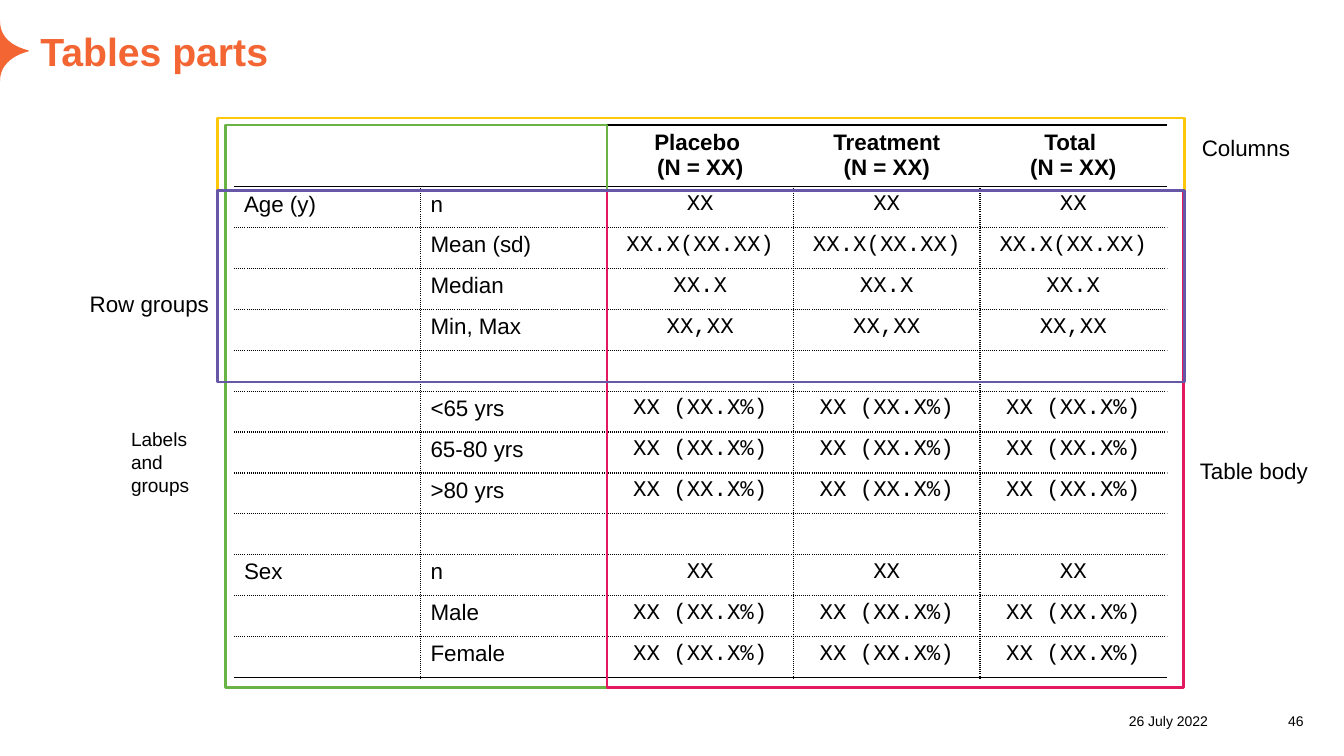
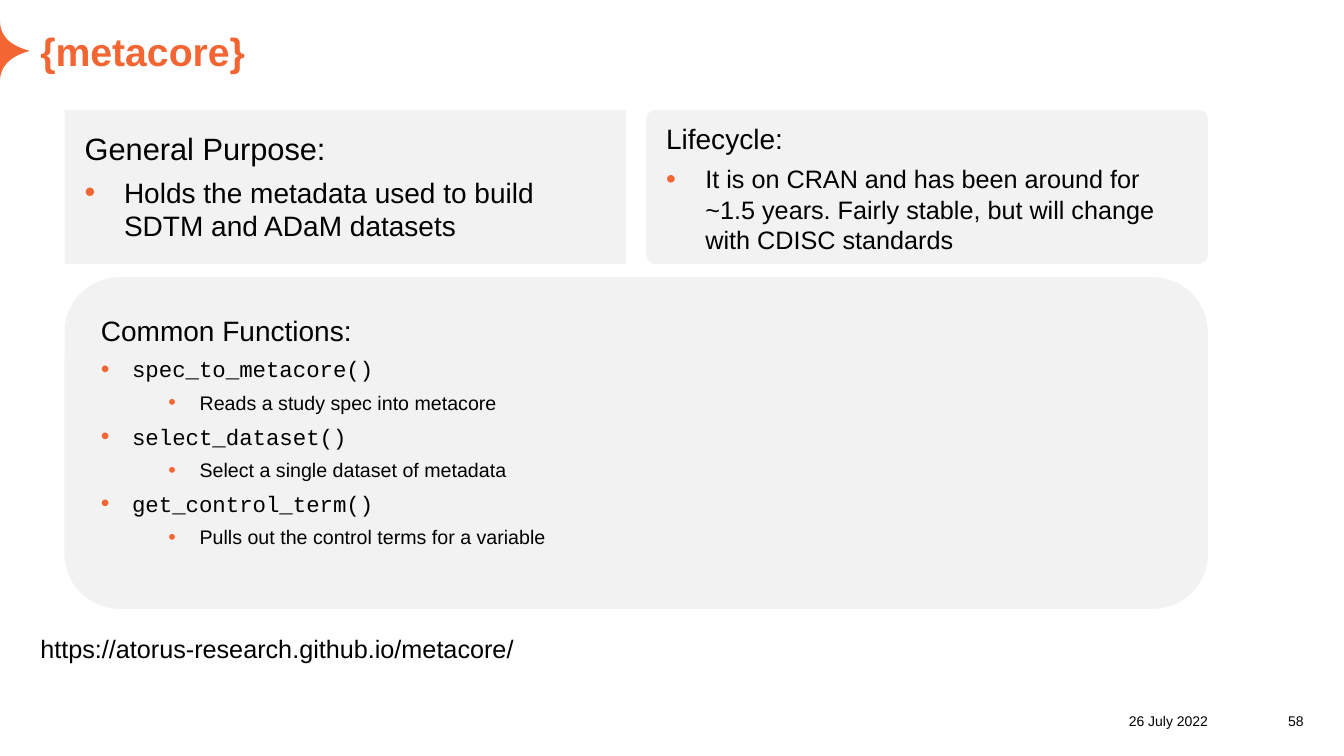
from lxml.etree import SubElement
from pptx import Presentation
from pptx.dml.color import RGBColor
from pptx.enum.shapes import MSO_SHAPE as Preset
from pptx.enum.text import MSO_ANCHOR as Anchor, PP_ALIGN as Align
from pptx.oxml.ns import qn
from pptx.util import Inches, Pt

ORANGE = RGBColor(0xF3, 0x66, 0x33)
BLACK = RGBColor(0x00, 0x00, 0x00)
PALE_GREY = RGBColor(0xF2, 0xF2, 0xF2)
GREEN = RGBColor(0x69, 0xB4, 0x45)
YELLOW = RGBColor(0xFF, 0xC7, 0x09)
CRIMSON = RGBColor(0xE2, 0x18, 0x60)
VIOLET = RGBColor(0x66, 0x58, 0xA6)
SANS, MONO = "Arial", "Courier New"

DATE = "26 July 2022"
URL = "https://atorus-research.github.io/metacore/"
STAR_CURVES = [
    [(0, 0.2), (0, 0.36), (0.1, 0.45), (0.28, 0.5)],
    [(0.28, 0.5), (0.29, 0.5), (0.29, 0.51), (0.28, 0.51)],
    [(0.28, 0.51), (0.1, 0.56), (0, 0.66), (0, 0.81)],
]
TABLE_ROWS = [
    ("", "", "Placebo \n(N = XX)", "Treatment\n(N = XX)", "Total \n(N = XX)"),
    ("Age (y)", "n") + ("XX",) * 3,
    ("", "Mean (sd)") + ("XX.X(XX.XX)",) * 3,
    ("", "Median") + ("XX.X",) * 3,
    ("", "Min, Max") + ("XX,XX",) * 3,
    ("",) * 5,
    ("", "<65 yrs") + ("XX (XX.X%)",) * 3,
    ("", "65-80 yrs") + ("XX (XX.X%)",) * 3,
    ("", ">80 yrs") + ("XX (XX.X%)",) * 3,
    ("",) * 5,
    ("Sex", "n") + ("XX",) * 3,
    ("", "Male") + ("XX (XX.X%)",) * 3,
    ("", "Female") + ("XX (XX.X%)",) * 3,
]
FUNCTIONS = [
    ("spec_to_metacore()", "Reads a study spec into metacore"),
    ("select_dataset()", "Select a single dataset of metadata"),
    ("get_control_term()", "Pulls out the control terms for a variable"),
]


def apply_format(target, values):
    for name, value in values.items():
        setattr(target, name, value)


def set_insets(frame, left, top, right, bottom):
    apply_format(frame, {
        "margin_left": Inches(left), "margin_top": Inches(top),
        "margin_right": Inches(right), "margin_bottom": Inches(bottom),
    })


def write_run(paragraph, text, size, font=SANS, color=BLACK, bold=False):
    run = paragraph.add_run()
    run.text = text
    apply_format(run.font, {"name": font, "size": Pt(size), "bold": bold})
    run.font.color.rgb = color


def add_text(slide, box, text, size, insets=(0, 0, 0, 0), anchor=Anchor.BOTTOM,
             align=Align.LEFT, **style):
    frame = slide.shapes.add_textbox(*map(Inches, box)).text_frame
    apply_format(frame, {"word_wrap": True, "vertical_anchor": anchor})
    set_insets(frame, *insets)
    paragraph = frame.paragraphs[0]
    paragraph.alignment = align
    write_run(paragraph, text, size, **style)


def bezier_points(curve, steps=12):
    for step in range(1, steps + 1):
        t = step / steps
        weights = ((1 - t) ** 3, 3 * t * (1 - t) ** 2, 3 * t * t * (1 - t), t ** 3)
        yield tuple(
            Inches(sum(w * point[axis] for w, point in zip(weights, curve)))
            for axis in (0, 1)
        )


def add_star(slide):
    start = STAR_CURVES[0][0]
    outline = slide.shapes.build_freeform(Inches(start[0]), Inches(start[1]))
    outline.add_line_segments(
        [point for curve in STAR_CURVES for point in bezier_points(curve)])
    star = outline.convert_to_shape()
    star.shadow.inherit = False
    star.fill.solid()
    star.fill.fore_color.rgb = ORANGE
    star.line.fill.background()


def add_base_slide(deck, title, number):
    slide = deck.slides.add_slide(deck.slide_layouts[6])
    add_star(slide)
    add_text(slide, (0.4, 0.27, 12.53, 0.47), title, 28, color=ORANGE, bold=True)
    add_text(slide, (8.94, 6.94, 3.04, 0.3), DATE, 10, align=Align.RIGHT)
    add_text(slide, (12.34, 6.94, 0.59, 0.3), number, 10, align=Align.RIGHT)
    return slide


def set_borders(cell, borders):
    properties = cell._tc.get_or_add_tcPr()
    for position, (side, dash) in enumerate(borders.items()):
        line = properties.makeelement(qn(f"a:{side}"), {"w": str(Pt(1))})
        properties.insert(position, line)
        if dash is None:
            SubElement(line, qn("a:noFill"))
            continue
        fill = SubElement(line, qn("a:solidFill"))
        SubElement(fill, qn("a:srgbClr"), val=str(BLACK))
        SubElement(line, qn("a:prstDash"), val=dash)


def cell_borders(row, column, last_row, last_column):
    borders = {"lnL": None, "lnR": None}
    if row and column:
        borders["lnL"] = "solid" if column == 2 else "sysDot"
    if row and column < last_column:
        borders["lnR"] = "solid" if column == 1 else "sysDot"
    borders["lnT"] = "solid" if row < 2 else "sysDot"
    borders["lnB"] = "solid" if row in (0, last_row) else "sysDot"
    return borders


def fill_cell(cell, text, is_header, is_value):
    cell.fill.background()
    set_insets(cell, 0.1, 0.05, 0.1, 0.03)
    font = MONO if is_value and not is_header else SANS
    frame = cell.text_frame
    for index, line in enumerate(text.split("\n") if text else []):
        paragraph = frame.add_paragraph() if index else frame.paragraphs[0]
        paragraph.alignment = Align.CENTER if is_value else Align.LEFT
        write_run(paragraph, line, 16, font, bold=is_header)


def add_summary_table(slide):
    row_count, column_count = len(TABLE_ROWS), len(TABLE_ROWS[0])
    header_height, body_height, width = 0.59, 4.87, 9.25
    table = slide.shapes.add_table(
        row_count, column_count, Inches(2.32), Inches(1.24),
        Inches(width), Inches(header_height + body_height)).table
    apply_format(table, {"first_row": False, "horz_banding": False})
    for column in table.columns:
        column.width = Inches(width / column_count)
    for row, texts in enumerate(TABLE_ROWS):
        height = body_height / (row_count - 1) if row else header_height
        table.rows[row].height = Inches(height)
        for column, text in enumerate(texts):
            cell = table.cell(row, column)
            fill_cell(cell, text, row == 0, column > 1)
            set_borders(cell, cell_borders(row, column, row_count - 1, column_count - 1))


def add_outline(slide, box, color):
    outline = slide.shapes.add_shape(Preset.RECTANGLE, *map(Inches, box))
    outline.shadow.inherit = False
    outline.fill.background()
    outline.line.color.rgb = color
    outline.line.width = Pt(2)


def add_label(slide, box, text, size=16):
    add_text(slide, box, text, size, (0.2,) * 4, Anchor.TOP)


def add_bullet(paragraph, margin, hanging):
    properties = paragraph._p.get_or_add_pPr()
    properties.set("marL", str(Inches(margin)))
    properties.set("indent", str(Inches(-hanging)))
    color = SubElement(properties, qn("a:buClr"))
    SubElement(color, qn("a:srgbClr"), val=str(ORANGE))
    SubElement(properties, qn("a:buSzPct"), val="110000")
    SubElement(properties, qn("a:buFont"), typeface=SANS)
    SubElement(properties, qn("a:buChar"), char="•")


def add_card(slide, preset, box, insets, heading, heading_size, bullets):
    card = slide.shapes.add_shape(preset, *map(Inches, box))
    card.shadow.inherit = False
    card.fill.solid()
    card.fill.fore_color.rgb = PALE_GREY
    card.line.fill.background()
    frame = card.text_frame
    apply_format(frame, {"word_wrap": True, "vertical_anchor": Anchor.TOP})
    set_insets(frame, *insets)
    spacing = {"alignment": Align.LEFT, "space_after": Pt(3)}
    apply_format(frame.paragraphs[0], spacing)
    write_run(frame.paragraphs[0], heading, heading_size)
    for text, size, font, level, margin, hanging in bullets:
        paragraph = frame.add_paragraph()
        add_bullet(paragraph, margin, hanging)
        apply_format(paragraph, {**spacing, "space_before": Pt(3), "level": level})
        write_run(paragraph, text, size, font)
    return card


def build_table_parts(deck):
    slide = add_base_slide(deck, "Tables parts", "46")
    add_summary_table(slide)
    add_outline(slide, (2.24, 1.24, 3.78, 5.58), GREEN)
    add_outline(slide, (2.16, 1.17, 9.59, 0.72), YELLOW)
    add_outline(slide, (6.02, 1.89, 5.72, 4.93), CRIMSON)
    add_outline(slide, (2.16, 1.89, 9.59, 1.9), VIOLET)
    add_label(slide, (11.7, 4.4, 1.6, 1), "Table body")
    add_label(slide, (11.72, 1.2, 1.6, 1), "Columns")
    add_label(slide, (1.1, 4.04, 1.21, 1), "Labels and groups", 13.6)
    add_label(slide, (0.69, 2.74, 1.6, 1), "Row groups")


def build_metacore(deck):
    slide = add_base_slide(deck, "{metacore}", "58")
    left, top, width, height, gap = 0.64, 1.09, 5.57, 1.53, 0.2
    add_card(
        slide, Preset.RECTANGLE, (left, top, width, height), (0.2,) * 4,
        "General Purpose:", 22,
        [("Holds the metadata used to build SDTM and ADaM datasets", 20, SANS, 0, 0.39, 0.39)])
    lifecycle = add_card(
        slide, Preset.ROUNDED_RECTANGLE, (left + width + gap, top, width, height),
        (0.17, 0.09, 0.17, 0.17), "Lifecycle:", 20,
        [("It is on CRAN and has been around for ~1.5 years. Fairly stable, "
          "but will change with CDISC standards", 18, SANS, 0, 0.39, 0.39)])
    lifecycle.adjustments[0] = 0.06
    bullets = []
    for call, purpose in FUNCTIONS:
        bullets.append((call, 16, MONO, 0, 0.31, 0.31))
        bullets.append((purpose, 14, SANS, 1, 0.98, 0.31))
    functions = add_card(
        slide, Preset.ROUNDED_RECTANGLE, (left, 2.75, 2 * width + gap, 3.29),
        (0.2, 0.2, 0.2, 0.12), "Common Functions:", 20, bullets)
    functions.text_frame._txBody.bodyPr.set("numCol", "2")
    add_text(slide, (0.4, 6.33, 12.53, 0.33), URL, 18, (0, 0.08, 0, 0.08))


def main():
    deck = Presentation()
    apply_format(deck, {"slide_width": Inches(13.33), "slide_height": Inches(7.5)})
    build_table_parts(deck)
    build_metacore(deck)
    deck.save("out.pptx")


if __name__ == "__main__":
    main()
